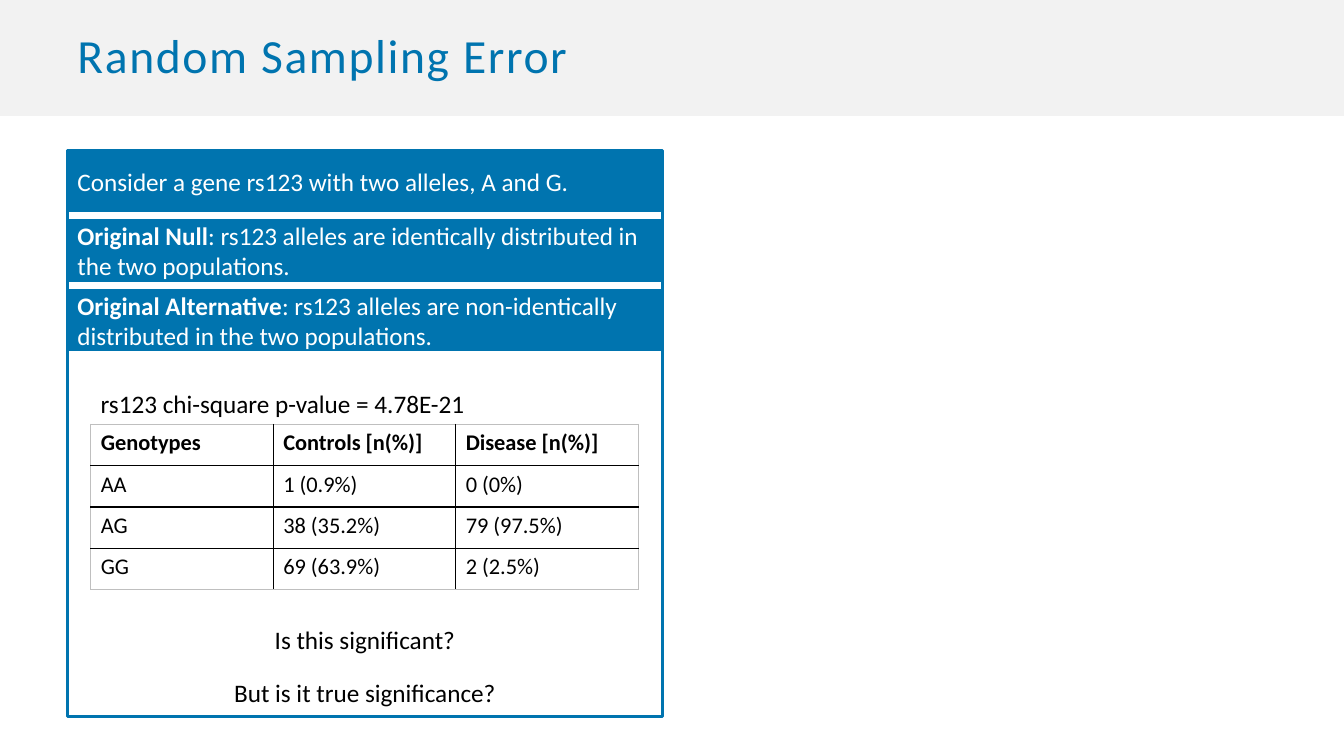
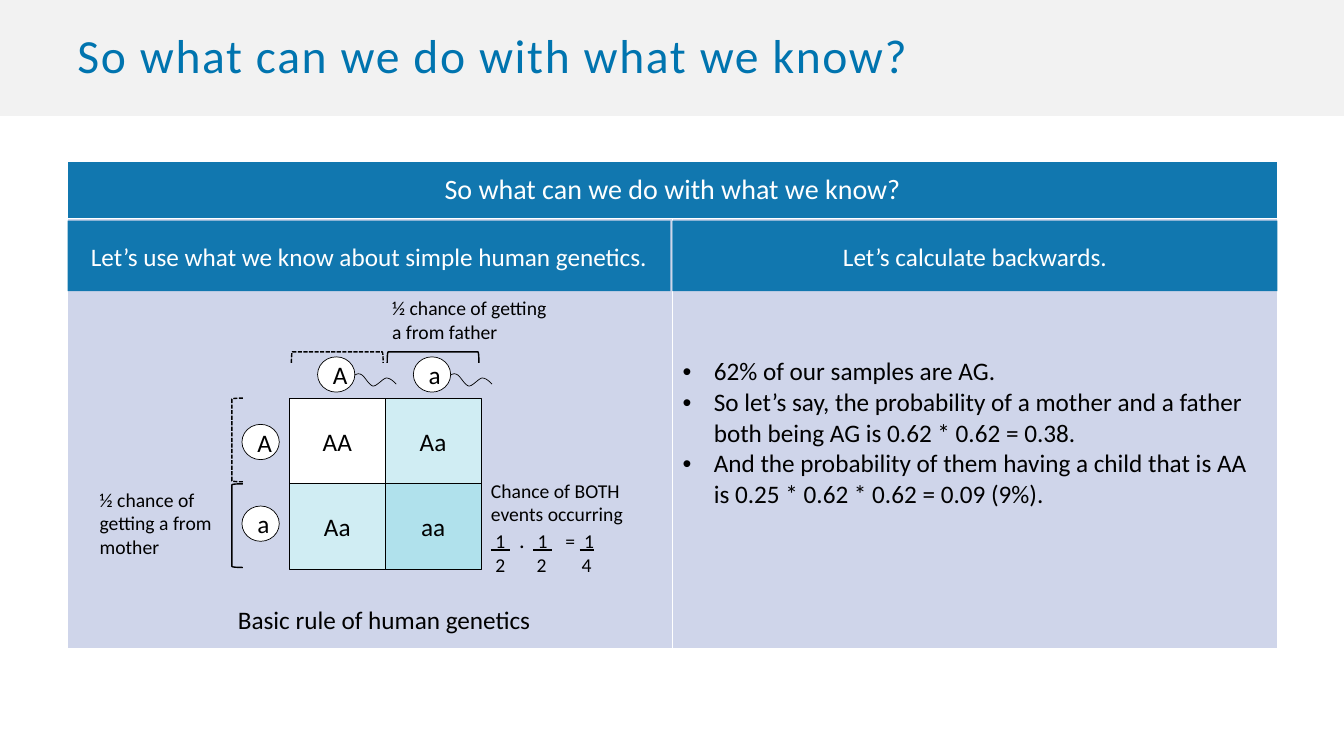
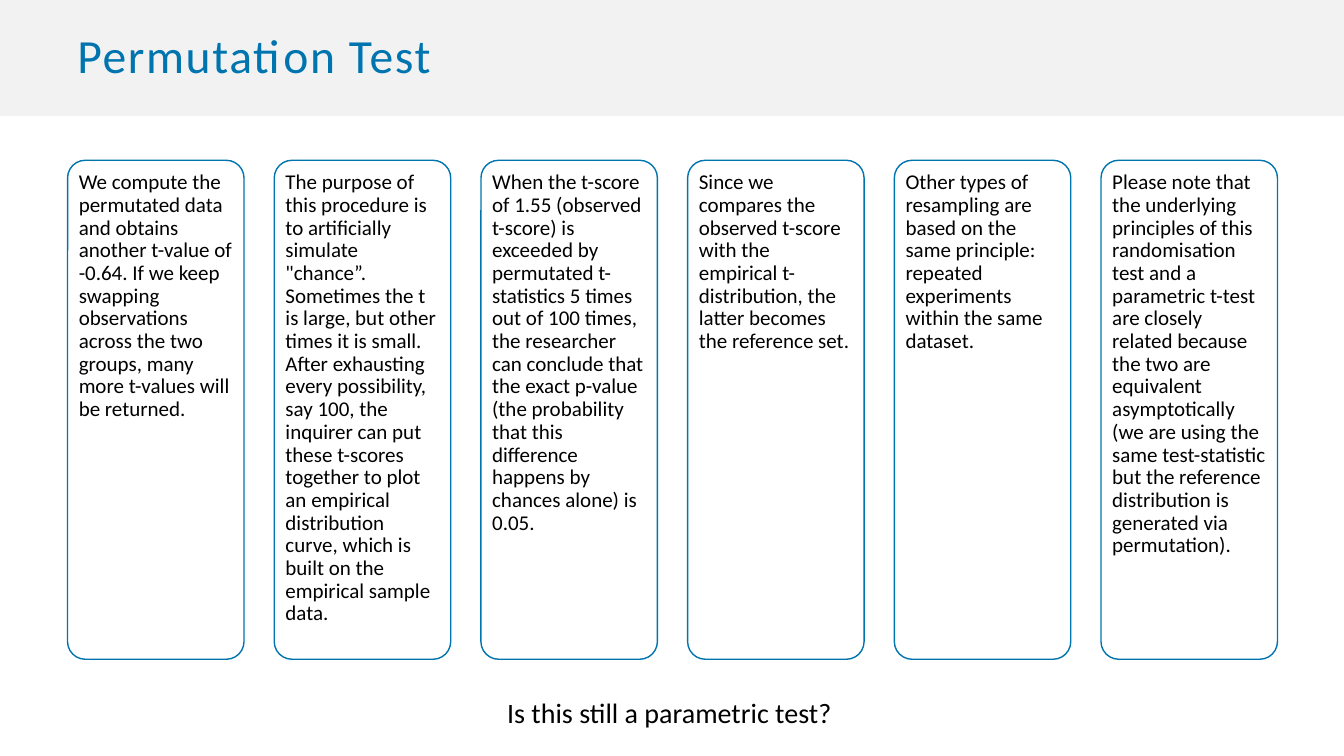
from pptx import Presentation
from pptx.dml.color import RGBColor
from pptx.enum.dml import MSO_LINE
from pptx.enum.shapes import MSO_SHAPE
from pptx.enum.text import MSO_ANCHOR, PP_ALIGN
from pptx.oxml.ns import qn
from pptx.util import Inches, Pt
from lxml.etree import SubElement

# Shared look
FONT = "Calibri"
BLUE, TABLE_BLUE, BAND, LILAC = "0074AF", "1177AF", "F2F2F2", "CFD5EA"
WHITE, BLACK, GREY = "FFFFFF", "000000", "BFBFBF"
LIGHT_TEAL, TEAL = "D0EDF3", "B0E1EC"
WIDTH, HEIGHT, BAND_HEIGHT = 13.33, 7.5, 1.15
MARGIN, CONTENT_WIDTH = 0.67, 12
CENTER, LEFT = PP_ALIGN.CENTER, PP_ALIGN.LEFT
BOLD, UNDERLINE = {"bold": True}, {"underline": True}

# Slide 1 content
HYPOTHESES = [
    [("Consider a gene rs123 with two alleles, A and G.", {})],
    [("Original Null", BOLD),
     (": rs123 alleles are identically distributed in the two populations.", {})],
    [("Original Alternative", BOLD),
     (": rs123 alleles are non-identically distributed in the two populations.", {})],
]
P_VALUE = "rs123 chi-square p-value = 4.78E-21"
GENOTYPES = [
    ("Genotypes", "Controls [n(%)]", "Disease [n(%)]"),
    ("AA", "1 (0.9%)", "0 (0%)"),
    ("AG", "38 (35.2%)", "79 (97.5%)"),
    ("GG", "69 (63.9%)", "2 (2.5%)"),
]
QUESTIONS = [("Is this significant?", 6.14), ("But is it true significance?", 6.67)]

# Slide 2 content
KNOWLEDGE = "So what can we do with what we know?"
SUBHEADS = ["Let’s use what we know about simple human genetics.",
            "Let’s calculate backwards."]
CALCULATION = [
    "62% of our samples are AG.",
    "So let’s say, the probability of a mother and a father both being AG "
    "is 0.62 * 0.62 = 0.38.",
    "And the probability of them having a child that is AA is "
    "0.25 * 0.62 * 0.62 = 0.09 (9%).",
]
ALLELES = ["A", "a"]
PUNNETT = [[("AA", WHITE), ("Aa", LIGHT_TEAL)], [("Aa", LIGHT_TEAL), ("aa", TEAL)]]
FROM_FATHER = "½ chance of getting a from father"
FROM_MOTHER = "½ chance of getting a from mother"
BOTH_EVENTS = [
    "Chance of BOTH events occurring",
    [(" 1 ", UNDERLINE), ("\t", {}), (".", {"size": Pt(16)}), ("\t", {}),
     (" 1 ", UNDERLINE), ("\t=\t", {}), (" 1", UNDERLINE)],
    " 2\t 2\t4",
]
FRACTION_TABS = {1: (0.28, 0.42, 0.74, 0.88), 2: (0.41, 0.9)}
RULE = "Basic rule of human genetics"
# Cubic curve of a tail: start, then triples of control, control, end
TAIL = [(0, 0.01), (0.02, 0), (0.04, -0.01), (0.07, 0.01),
        (0.1, 0.03), (0.14, 0.11), (0.18, 0.12),
        (0.22, 0.12), (0.27, 0.05), (0.31, 0.04),
        (0.35, 0.04), (0.38, 0.07), (0.41, 0.1)]

# Slide 3 content
PERMUTATION = [
    "We compute the permutated data and obtains another t-value of -0.64. If we keep "
    "swapping observations across the two groups, many more t-values will be returned.",
    "The purpose of this procedure is to artificially simulate \"chance”. Sometimes the "
    "t is large, but other times it is small. After exhausting every possibility, say "
    "100, the inquirer can put these t-scores together to plot an empirical "
    "distribution curve, which is built on the empirical sample data.",
    "When the t-score of 1.55 (observed t-score) is exceeded by permutated t-statistics "
    "5 times out of 100 times, the researcher can conclude that the exact p-value (the "
    "probability that this difference happens by chances alone) is 0.05.",
    "Since we compares the observed t-score with the empirical t-distribution, the "
    "latter becomes the reference set.",
    "Other types of resampling are based on the same principle: repeated experiments "
    "within the same dataset.",
    "Please note that the underlying principles of this randomisation test and a "
    "parametric t-test are closely related because the two are equivalent "
    "asymptotically (we are using the same test-statistic but the reference "
    "distribution is generated via permutation).",
]
PARAMETRIC = "Is this still a parametric test?"


def color(value):
    return RGBColor.from_string(value)


def box(*lengths):
    return [Inches(length) for length in lengths]


def write(text_frame, paragraphs, size, ink=BLACK, align=LEFT, anchor=MSO_ANCHOR.TOP,
          spacing=None):
    """Fill a frame; a paragraph is a string or a list of (text, font settings)."""
    text_frame.vertical_anchor = anchor
    for index, content in enumerate(paragraphs):
        paragraph = text_frame.paragraphs[0] if index == 0 else text_frame.add_paragraph()
        paragraph.alignment = align
        if spacing:
            paragraph.line_spacing = spacing
        runs = [(content, {})] if isinstance(content, str) else content
        for text, settings in runs:
            run = paragraph.add_run()
            run.text = text
            run.font.name, run.font.size = FONT, Pt(size)
            run.font.color.rgb = color(ink)
            for name, value in settings.items():
                setattr(run.font, name, value)


def add_text(slide, place, paragraphs, size, wrap=True, **style):
    text_frame = slide.shapes.add_textbox(*box(*place)).text_frame
    text_frame.word_wrap = wrap
    write(text_frame, paragraphs, size, **style)
    return text_frame


def style_shape(shape, fill=None, line=None, weight=1):
    shape.shadow.inherit = False
    if fill:
        shape.fill.solid()
        shape.fill.fore_color.rgb = color(fill)
    else:
        shape.fill.background()
    if line:
        shape.line.color.rgb = color(line)
        shape.line.width = Pt(weight)
    else:
        shape.line.fill.background()


def add_shape(slide, kind, place, fill=None, line=None, weight=1):
    shape = slide.shapes.add_shape(kind, *box(*place))
    style_shape(shape, fill, line, weight)
    return shape


def add_label_shape(slide, kind, place, label, fill, line=None, weight=0.5,
                    ink=BLACK, align=CENTER):
    shape = add_shape(slide, kind, place, fill, line, weight)
    write(shape.text_frame, [label], 18, ink, align, MSO_ANCHOR.MIDDLE)


def add_titled_slide(presentation, title):
    slide = presentation.slides.add_slide(presentation.slide_layouts[6])
    add_shape(slide, MSO_SHAPE.RECTANGLE, (0, 0, WIDTH, BAND_HEIGHT), BAND)
    text_frame = add_text(slide, (MARGIN, 0, CONTENT_WIDTH, BAND_HEIGHT), [title], 34,
                          ink=BLUE, anchor=MSO_ANCHOR.MIDDLE, spacing=0.9)
    text_frame.paragraphs[0].runs[0].font._element.set("spc", "120")
    return slide


def add_plain_table(slide, place, row_heights, column_count):
    table = slide.shapes.add_table(len(row_heights), column_count, *box(*place)).table
    table.first_row = table.horz_banding = False
    for row, height in zip(table.rows, row_heights):
        row.height = Inches(height)
    return table


def style_cell(cell, fill, borders):
    """Set the fill and the 1-point borders, given as colors by side."""
    if fill:
        cell.fill.solid()
        cell.fill.fore_color.rgb = color(fill)
    else:
        cell.fill.background()
    properties = cell._tc.get_or_add_tcPr()
    for position, side in enumerate("LRTB"):
        line = SubElement(properties, qn(f"a:ln{side}"), w=str(Pt(1)))
        SubElement(SubElement(line, qn("a:solidFill")), qn("a:srgbClr"),
                   val=borders[side])
        properties.insert(position, line)


def add_bullet(paragraph, indent):
    properties = paragraph._p.get_or_add_pPr()
    properties.set("marL", str(Inches(indent)))
    properties.set("indent", str(-Inches(indent)))
    SubElement(properties, qn("a:buFont"), typeface="Arial")
    SubElement(properties, qn("a:buChar"), char="•")


def add_tabs(paragraph, stops):
    tabs = SubElement(paragraph._p.get_or_add_pPr(), qn("a:tabLst"))
    for stop in stops:
        SubElement(tabs, qn("a:tab"), pos=str(Inches(stop)), algn="l")


def curve_points(points, steps=10):
    for start in range(0, len(points) - 1, 3):
        p0, p1, p2, p3 = points[start:start + 4]
        for step in range(1, steps + 1):
            t = step / steps
            weights = ((1 - t) ** 3, 3 * t * (1 - t) ** 2, 3 * t * t * (1 - t), t ** 3)
            yield tuple(sum(w * p[axis] for w, p in zip(weights, (p0, p1, p2, p3)))
                        for axis in (0, 1))


def add_tail(slide, left, top):
    # The builder rounds to whole units, so points are given in EMU
    points = [box(left + x, top + y) for x, y in [TAIL[0], *curve_points(TAIL)]]
    builder = slide.shapes.build_freeform(*points[0])
    builder.add_line_segments(points[1:], close=False)
    style_shape(builder.convert_to_shape(), line=BLACK, weight=0.5)


def build_sampling_error(presentation):
    slide = add_titled_slide(presentation, "Random Sampling Error")
    panel_width, pitch = 5.9, 0.69
    add_shape(slide, MSO_SHAPE.RECTANGLE, (MARGIN, 1.49, panel_width, 5.62),
              WHITE, BLUE, 2.25)
    for index, hypothesis in enumerate(HYPOTHESES):
        add_label_shape(slide, MSO_SHAPE.RECTANGLE,
                        (MARGIN, 1.5 + index * pitch, panel_width, 0.59),
                        hypothesis, BLUE, BLUE, 2.25, WHITE, LEFT)
    for question, top in QUESTIONS:
        add_text(slide, (MARGIN, top, panel_width, 0.4), [question], 18,
                 wrap=False, align=CENTER)

    # Genotype table
    add_text(slide, (0.9, 3.8, 4.17, 0.4), [P_VALUE], 18)
    last_row, last_column = len(GENOTYPES) - 1, len(GENOTYPES[0]) - 1
    table = add_plain_table(slide, (0.9, 4.21, 5.43, 1.62), [0.41] * len(GENOTYPES),
                            len(GENOTYPES[0]))
    for row, values in enumerate(GENOTYPES):
        for column, value in enumerate(values):
            cell = table.cell(row, column)
            write(cell.text_frame, [[(value, {"bold": row == 0})]], 16)
            outer = {"L": column == 0, "R": column == last_column,
                     "T": row == 0, "B": row == last_row}
            style_cell(cell, None, {side: GREY if edge else BLACK
                                    for side, edge in outer.items()})


def build_genetics(presentation):
    slide = add_titled_slide(presentation, KNOWLEDGE)

    # Table behind the diagram
    table = add_plain_table(slide, (MARGIN, 1.6, CONTENT_WIDTH, 4.83), (0.57, 4.26), 2)
    table.cell(0, 0).merge(table.cell(0, 1))
    white = dict.fromkeys("LRTB", WHITE)
    for column in range(2):
        style_cell(table.cell(0, column), TABLE_BLUE, white)
        style_cell(table.cell(1, column), LILAC, white)
    header, calculation = table.cell(0, 0), table.cell(1, 1)
    write(header.text_frame, [KNOWLEDGE], 20, WHITE, CENTER)
    write(calculation.text_frame, CALCULATION, 18)
    header.vertical_anchor = calculation.vertical_anchor = MSO_ANCHOR.MIDDLE
    for paragraph in calculation.text_frame.paragraphs:
        add_bullet(paragraph, 0.31)

    # Punnett square with gametes and brackets
    left, top, cell_width, cell_height = 2.87, 3.95, 0.95, 0.85
    gamete = (0.37, 0.35)
    for row, genotypes in enumerate(PUNNETT):
        for column, (genotype, fill) in enumerate(genotypes):
            add_label_shape(slide, MSO_SHAPE.RECTANGLE,
                            (left + column * cell_width, top + row * cell_height,
                             cell_width, cell_height), genotype, fill, BLACK)
    for index, allele in enumerate(ALLELES):
        across, down = index * cell_width, index * cell_height
        mother = add_shape(slide, MSO_SHAPE.LEFT_BRACKET,
                           (2.3, top + down, 0.11, 0.83), line=BLACK)
        father = add_shape(slide, MSO_SHAPE.LEFT_BRACKET,
                           (3.29 + across, 3.09, 0.11, 0.91), line=BLACK)
        father.rotation = 90
        if index == 0:
            mother.line.dash_style = father.line.dash_style = MSO_LINE.SQUARE_DOT
        for place in ((2.4, 4.21 + 0.81 * index), (3.15 + across, 3.54)):
            add_label_shape(slide, MSO_SHAPE.OVAL, place + gamete, allele, WHITE, BLACK)
        add_tail(slide, 3.52 + across, 3.71)

    # Notes around the square
    both = add_text(slide, (4.77, 4.7, 1.69, 1.08), BOTH_EVENTS, 14)
    for index, stops in FRACTION_TABS.items():
        add_tabs(both.paragraphs[index], stops)
    add_text(slide, (0.89, 4.79, 1.4, 0.81), [FROM_MOTHER], 14)
    add_text(slide, (3.79, 2.89, 1.78, 0.57), [FROM_FATHER], 14)
    add_text(slide, (2.24, 5.95, 3.14, 0.4), [RULE], 18, wrap=False, align=CENTER)
    half = CONTENT_WIDTH / 2
    for index, (subhead, width) in enumerate(zip(SUBHEADS, (half - 0.02, half))):
        add_label_shape(slide, MSO_SHAPE.RECTANGLE,
                        (MARGIN + index * half, 2.19, width, 0.7),
                        subhead, TABLE_BLUE, ink=WHITE)


def build_permutation(presentation):
    slide = add_titled_slide(presentation, "Permutation Test")
    card_width = 1.75
    pitch = (CONTENT_WIDTH - card_width) / (len(PERMUTATION) - 1)
    for index, text in enumerate(PERMUTATION):
        card = add_shape(slide, MSO_SHAPE.ROUNDED_RECTANGLE,
                         (MARGIN + index * pitch, 1.59, card_width, 4.95), WHITE, BLUE)
        card.adjustments[0] = 0.1
        text_frame = card.text_frame
        text_frame.margin_left = text_frame.margin_right = Inches(0.06)
        text_frame.margin_top = text_frame.margin_bottom = Inches(0.06)
        write(text_frame, [text], 15, spacing=0.9)
    add_text(slide, (4.91, 6.85, 3.46, 0.44), [PARAMETRIC], 20, wrap=False,
             align=CENTER, anchor=MSO_ANCHOR.MIDDLE)


def main():
    presentation = Presentation()
    presentation.slide_width, presentation.slide_height = box(WIDTH, HEIGHT)
    build_sampling_error(presentation)
    build_genetics(presentation)
    build_permutation(presentation)
    presentation.save("out.pptx")


if __name__ == "__main__":
    main()
